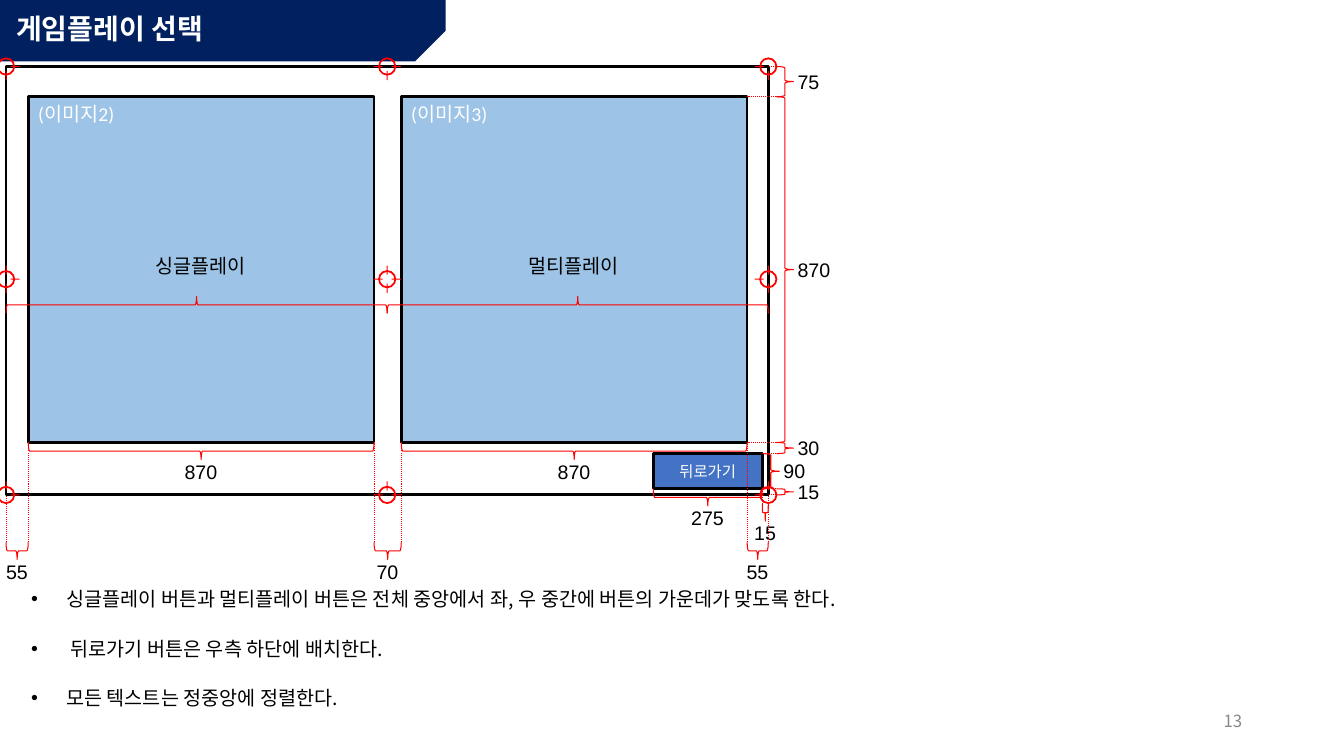
from dataclasses import dataclass

from lxml import etree
from pptx import Presentation
from pptx import util as u
from pptx.dml.color import RGBColor
from pptx.enum import dml, shapes, text
from pptx.oxml.ns import qn


@dataclass
class Theme:
    navy: str = "002060"
    sky: str = "9DC3E6"
    blue: str = "4472C4"
    red: str = "FF0000"
    black: str = "000000"
    white: str = "FFFFFF"
    gray: str = "888888"
    title: int = 20
    body: int = 14
    number: int = 12
    button: int = 11
    korean: str = "Noto Sans CJK KR"
    label: str = "Calibri"
    measure: str = "Arial"


theme = Theme()
kinds = shapes.MSO_SHAPE
aligns = text.PP_ALIGN
anchors = text.MSO_ANCHOR

deck = Presentation()
deck.slide_width, deck.slide_height = u.Inches(13.33), u.Inches(7.5)
page = deck.slides.add_slide(deck.slide_layouts[5])


def draw(kind, at, fill=None, line=None, weight=0.75, rotation=0):
    shape = page.shapes.add_shape(kind, *map(u.Inches, at))
    shape.shadow.inherit = False
    shape.rotation = rotation
    if fill:
        shape.fill.solid()
        shape.fill.fore_color.rgb = RGBColor.from_string(fill)
    else:
        shape.fill.background()
    if line:
        shape.line.color.rgb = RGBColor.from_string(line)
        shape.line.width = u.Pt(weight)
    else:
        shape.line.fill.background()
    return shape


def write(box, lines, size, color, font, align=aligns.LEFT, anchor=anchors.TOP,
          inset=(0.1, 0.05), wrap=True, bold=False):
    frame = box.text_frame
    frame.word_wrap = wrap
    frame.auto_size = text.MSO_AUTO_SIZE.NONE
    frame.vertical_anchor = anchor
    frame.margin_left = frame.margin_right = u.Inches(inset[0])
    frame.margin_top = frame.margin_bottom = u.Inches(inset[1])
    for index, words in enumerate(lines):
        para = frame.add_paragraph() if index else frame.paragraphs[0]
        para.alignment = align
        span = para.add_run()
        span.text = words
        span.font.size = u.Pt(size)
        span.font.bold = bold
        span.font.name = font
        span.font.color.rgb = RGBColor.from_string(color)
        east = etree.SubElement(span.font._element, qn("a:ea"))
        east.set("typeface", theme.korean)
    return frame


banner = draw(kinds.SNIP_1_RECTANGLE, (0, 0, 4.42, 0.61), theme.navy, rotation=180)
banner.adjustments[0] = 0.5
banner.element.spPr.xfrm.set("flipH", "1")
page.shapes.element.insert(2, banner.element)

title = page.shapes.title
title.left, title.top, title.width, title.height = map(u.Inches, (0.06, 0.07, 4.03, 0.46))
frame = write(title, ["게임플레이 선택"], theme.title, theme.white, theme.korean,
              anchor=anchors.MIDDLE, bold=True)
frame.paragraphs[0].line_spacing = 0.9

number = page.shapes.add_textbox(*map(u.Inches, (9.42, 6.95, 3, 0.4)))
write(number, ["13"], theme.number, theme.gray, theme.korean, aligns.RIGHT, anchors.MIDDLE)

left, right, top, bottom = 0.06, 7.62, 0.66, 4.91
card_top, card_size = 0.96, 3.43
card_bottom = card_top + card_size
single, multi = 0.28, 3.98
single_end, multi_end = single + card_size, multi + card_size
back_left, back_right, back_top, back_bottom = 6.48, 7.56, 4.5, 4.85

draw(kinds.RECTANGLE, (left, top, right - left, bottom - top), line=theme.black, weight=2)
for x, image, mode in ((single, "(이미지2)", "싱글플레이"), (multi, "(이미지3)", "멀티플레이")):
    card = draw(kinds.RECTANGLE, (x, card_top, card_size, card_size), theme.sky, theme.black, 2)
    write(card, [image], theme.body, theme.white, theme.label)
    caption = page.shapes.add_textbox(*map(u.Inches, (x + 0.98, 2.47, 1.46, 0.4)))
    write(caption, [mode], theme.body, theme.black, theme.measure, aligns.CENTER, wrap=False)
back = draw(kinds.RECTANGLE, (back_left, back_top, back_right - back_left, back_bottom - back_top),
            theme.blue, theme.black, 2)
write(back, ["뒤로가기"], theme.button, theme.white, theme.label, aligns.CENTER,
      anchors.MIDDLE, (0, 0))

depth = 0.17
foot, side = 5.38, 7.7
middle = (left + right) / 2
measures = [
    (90, left, single, foot, "55"),
    (90, single, single_end, card_bottom, "870"),
    (90, single_end, multi, foot, "70"),
    (90, back_left, back_right, back_bottom, "275"),
    (90, multi, multi_end, card_bottom, "870"),
    (90, multi_end, right, foot, "55"),
    (90, back_right, right, 5.0, "15"),
    (0, top, card_top, side, "75"),
    (0, card_top, card_bottom, side, "870"),
    (0, card_bottom, back_top, side, "30"),
    (0, back_top, back_bottom, back_right, "90"),
    (0, back_bottom, bottom, side, "15"),
    (270, left, middle, 2.94, ""),
    (270, middle, right, 2.94, ""),
]
for rotation, start, end, edge, value in measures:
    center, length = (start + end) / 2, end - start
    width, height = 0.08 + 0.11 * len(value), 0.24
    if rotation:
        at = (center - depth / 2, edge + depth / 2 - length / 2, depth, length)
        spot = (center - width / 2, edge + depth, width, height)
    else:
        at = (edge, start, depth, length)
        spot = (edge + depth, center - height / 2, width, height)
    draw(kinds.RIGHT_BRACE, at, line=theme.red, rotation=rotation)
    if value:
        label = page.shapes.add_textbox(*map(u.Inches, spot))
        write(label, [value], theme.body, theme.black, theme.measure, inset=(0.04, 0), wrap=False)

guides = [(x, foot, x, card_bottom) for x in (single, single_end, multi, multi_end)]
guides += [(x, foot, x, bottom) for x in (left, right)]
guides += [(back_right, 5.0, back_right, back_bottom)]
guides += [(side, y, x, y) for x, y in (
    (right, top), (multi_end, card_top), (multi_end, card_bottom),
    (back_right, back_top), (back_right, back_bottom), (right, bottom))]
for ends in guides:
    guide = page.shapes.add_connector(shapes.MSO_CONNECTOR.STRAIGHT, *map(u.Inches, ends))
    guide.line.color.rgb = RGBColor.from_string(theme.red)
    guide.line.width = u.Pt(0.75)
    guide.line.dash_style = dml.MSO_LINE.ROUND_DOT
    etree.SubElement(guide.element.spPr, qn("a:effectLst"))

ring, tick, thin = 0.18, 0.09, 0.01
for row, y in enumerate((top, 2.77, bottom)):
    for column, x in enumerate((left, middle, right)):
        target = draw(kinds.DONUT, (x - ring / 2, y - ring / 2, ring, ring), theme.red)
        target.adjustments[0] = 0.1
        for across, down in ((-1, 0), (1, 0), (0, -1), (0, 1)):
            if 0 <= column + across <= 2 and 0 <= row + down <= 2:
                at = (x + across * tick - tick / 2, y + down * tick - thin / 2, tick, thin)
                draw(kinds.RECTANGLE, at, theme.red, rotation=90 if down else 0)

rules = page.shapes.add_textbox(*map(u.Inches, (0.06, 5.66, 13.17, 1.7)))
frame = write(rules, [
    "싱글플레이 버튼과 멀티플레이 버튼은 전체 중앙에서 좌, 우 중간에 버튼의 가운데가 맞도록 한다.",
    " 뒤로가기 버튼은 우측 하단에 배치한다.",
    "모든 텍스트는 정중앙에 정렬한다.",
], theme.body, theme.black, theme.korean)
for para in frame.paragraphs:
    para.line_spacing = 1.5
    para.space_before = u.Pt(10)
    settings = para._p.get_or_add_pPr()
    settings.set("marL", str(u.Inches(0.5)))
    settings.set("indent", str(u.Inches(-0.35)))
    etree.SubElement(settings, qn("a:buFont")).set("typeface", theme.measure)
    etree.SubElement(settings, qn("a:buChar")).set("char", "•")

deck.save("out.pptx")
